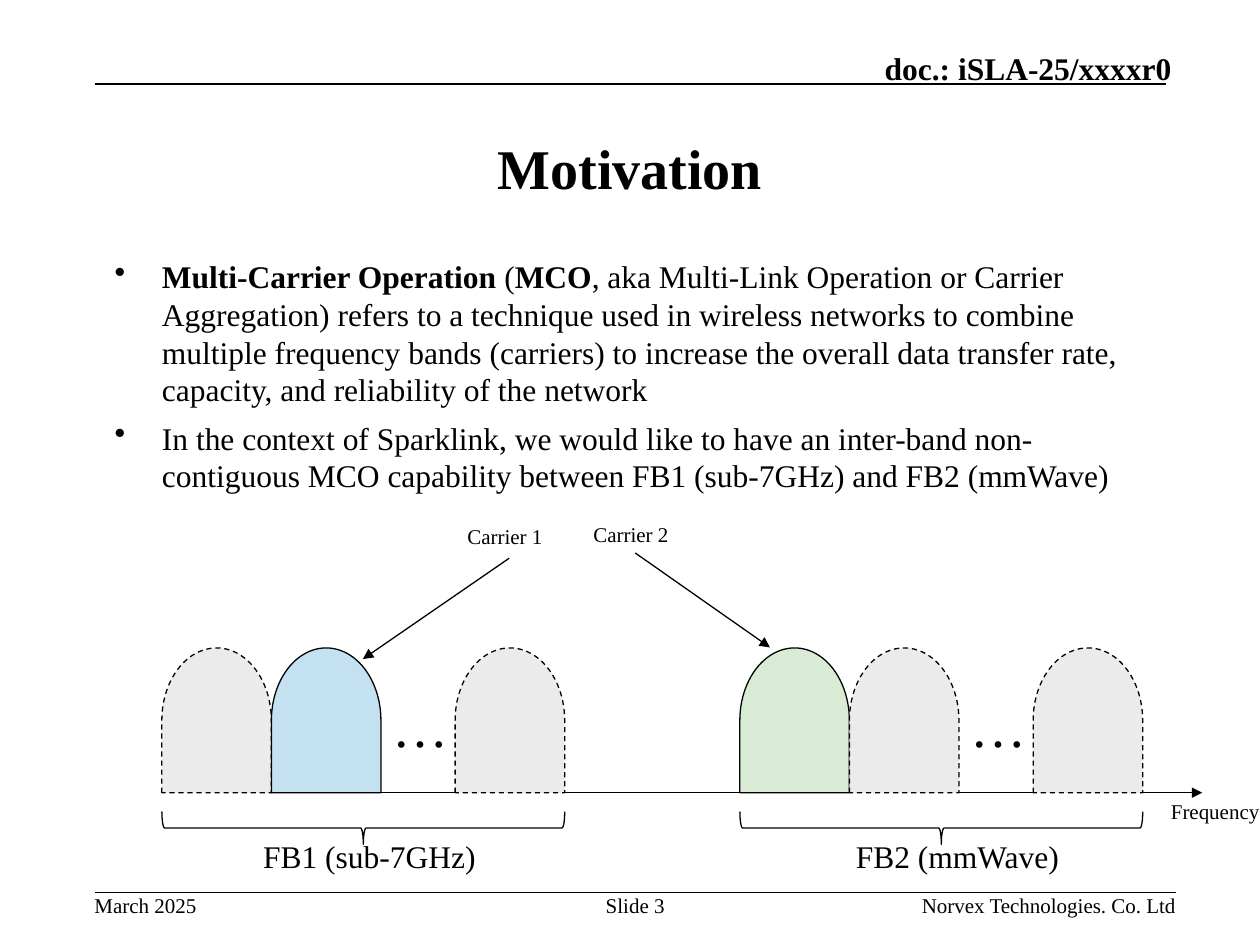
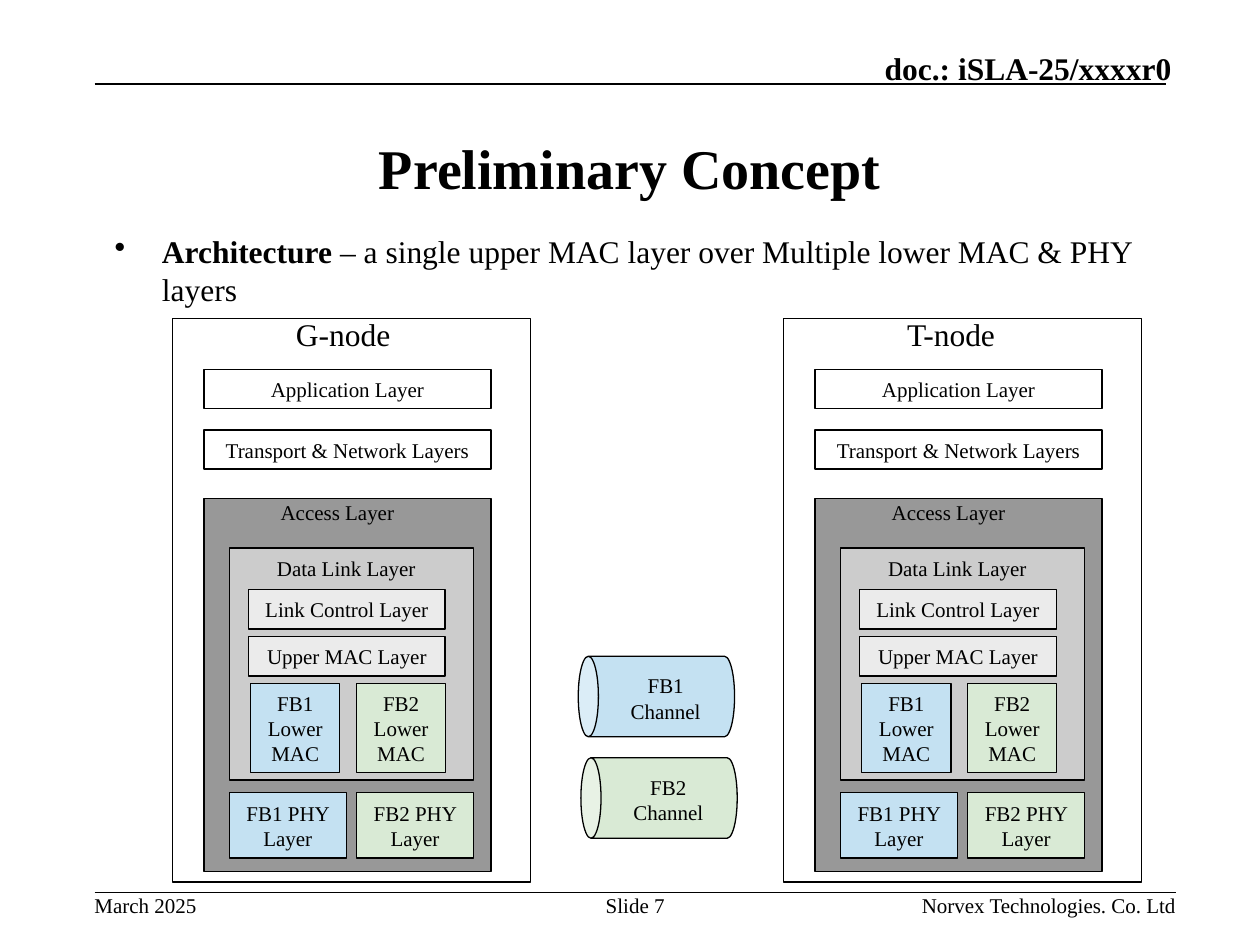
from lxml import etree
from pptx import Presentation
from pptx.dml.color import RGBColor
from pptx.enum.dml import MSO_LINE
from pptx.enum.shapes import MSO_CONNECTOR, MSO_SHAPE
from pptx.enum.text import MSO_ANCHOR, PP_ALIGN
from pptx.oxml.ns import qn
from pptx.util import Pt

BLACK = RGBColor(0x00, 0x00, 0x00)
DARK_GREY = RGBColor(0x98, 0x98, 0x98)
MID_GREY = RGBColor(0xCC, 0xCC, 0xCC)
LIGHT_GREY = RGBColor(0xEB, 0xEB, 0xEB)
BLUE = RGBColor(0xC4, 0xE1, 0xF2)
GREEN = RGBColor(0xD9, 0xEA, 0xD5)

FONT = "Times New Roman"
LEFT, CENTER, RIGHT = PP_ALIGN.LEFT, PP_ALIGN.CENTER, PP_ALIGN.RIGHT
TOP, MIDDLE, BOTTOM = MSO_ANCHOR.TOP, MSO_ANCHOR.MIDDLE, MSO_ANCHOR.BOTTOM
RECTANGLE = MSO_SHAPE.RECTANGLE
DELAY = MSO_SHAPE.FLOWCHART_DELAY
BRACE = MSO_SHAPE.RIGHT_BRACE
CAN = MSO_SHAPE.CAN
STRAIGHT = MSO_CONNECTOR.STRAIGHT
DASH = MSO_LINE.DASH

LINE_WIDTH = 0.75
BASELINE = 453
CARRIER_WIDTH, CARRIER_HEIGHT = 62.6, 82.8
CARRIER_OFFSETS = (0, CARRIER_WIDTH, 167.6)
BAND_WIDTH = CARRIER_OFFSETS[-1] + CARRIER_WIDTH

NODE_BOXES = (
    ("", 0, 182, 204.5, 322, None),
    ("", 18, 285, 164, 213, DARK_GREY),
    ("", 32.4, 313.2, 139.7, 132.5, MID_GREY),
    ("Application Layer", 18, 211, 164, 22.3, None),
    ("Transport & Network Layers", 18, 245.8, 164, 22.3, None),
    ("Link Control Layer", 43.5, 337, 112.3, 22.5, LIGHT_GREY),
    ("Upper MAC Layer", 43.5, 363.8, 112.3, 22.5, LIGHT_GREY),
    ("FB1 Lower MAC", 44.6, 390.4, 51, 51, BLUE),
    ("FB2 Lower MAC", 105.1, 390.4, 51, 51, GREEN),
    ("FB1 PHY Layer", 32.4, 453, 67, 37.4, BLUE),
    ("FB2 PHY Layer", 105.1, 453, 67, 37.4, GREEN),
)


def apply(target, values):
    for name, value in values.items():
        setattr(target, name, value)


def points(*lengths):
    return [Pt(length) for length in lengths]


def add_span(para, text, size, bold=False):
    span = para.add_run()
    span.text = text
    apply(span.font, {"name": FONT, "size": Pt(size), "bold": bold})
    span.font.color.rgb = BLACK


def write(frame, text, size, align=LEFT, anchor=TOP, bold=False):
    apply(frame, {"word_wrap": True, "vertical_anchor": anchor})
    para = frame.paragraphs[0]
    para.alignment = align
    add_span(para, text, size, bold)


def add_label(shapes, text, left, top, width, height, size=12, inset=True, **style):
    box = shapes.add_textbox(*points(left, top, width, height))
    if not inset:
        sides = ("left", "top", "right", "bottom")
        apply(box.text_frame, {f"margin_{side}": 0 for side in sides})
    write(box.text_frame, text, size, **style)


def add_box(shapes, kind, left, top, width, height, fill=None, text=""):
    box = shapes.add_shape(kind, *points(left, top, width, height))
    box.shadow.inherit = False
    if fill is None:
        box.fill.background()
    else:
        box.fill.solid()
        box.fill.fore_color.rgb = fill
    box.line.color.rgb = BLACK
    box.line.width = Pt(LINE_WIDTH)
    if text:
        write(box.text_frame, text, 12, CENTER, MIDDLE)
    return box


def add_turned(shapes, kind, left, top, width, height, angle, fill=None):
    shift = (width - height) / 2
    box = add_box(shapes, kind, left + shift, top - shift, height, width, fill)
    box.rotation = angle
    return box


def add_line(shapes, start, end, width=LINE_WIDTH, arrow=False):
    line = shapes.add_connector(STRAIGHT, *points(*start, *end))
    line.line.color.rgb = BLACK
    line.line.width = Pt(width)
    properties = line._element.spPr
    if arrow:
        outline = properties.find(qn("a:ln"))
        etree.SubElement(outline, qn("a:tailEnd"), type="triangle")
    etree.SubElement(properties, qn("a:effectLst"))


def add_bullets(shapes, top, height, items):
    box = shapes.add_textbox(*points(54, top, 612, height))
    frame = box.text_frame
    frame.word_wrap = True
    for index, spans in enumerate(items):
        para = frame.add_paragraph() if index else frame.paragraphs[0]
        para.space_before = Pt(6)
        properties = para._p.get_or_add_pPr()
        properties.set("marL", str(Pt(31.5)))
        properties.set("indent", str(Pt(-27)))
        etree.SubElement(properties, qn("a:buChar"), char="•")
        for text, bold in spans:
            add_span(para, text, 18, bold)


def add_page(deck, title, number):
    page = deck.slides.add_slide(deck.slide_layouts[5])
    shapes = page.shapes
    heading = shapes.title
    apply(heading, dict(zip(("left", "top", "width", "height"), points(54, 54, 612, 83.5))))
    write(heading.text_frame, title, 32, CENTER, MIDDLE, True)
    add_line(shapes, (54, 48), (666, 48), 1)
    add_line(shapes, (54, 510), (672, 510), 1)
    add_label(shapes, "doc.: iSLA-25/xxxxr0", 394, 28, 275.5, 21.6, 18, False,
              align=RIGHT, anchor=BOTTOM, bold=True)
    footers = (
        ("March 2025", 54, LEFT),
        (f"Slide {number}", 283, CENTER),
        ("Norvex Technologies. Co. Ltd", 492, RIGHT),
    )
    for text, left, align in footers:
        add_label(shapes, text, left, 510, 160 if align == CENTER else 180, 15,
                  inset=False, align=align)
    return shapes


def add_band(shapes, left, fills, name, name_left):
    for offset, fill in zip(CARRIER_OFFSETS, fills):
        carrier = add_turned(shapes, DELAY, left + offset, BASELINE - CARRIER_HEIGHT,
                             CARRIER_WIDTH, CARRIER_HEIGHT, 270, fill)
        if fill == LIGHT_GREY:
            carrier.line.dash_style = DASH
    add_label(shapes, "…", left + 125, 391.7, 28, 46, 32)
    add_turned(shapes, BRACE, left, 463.8, BAND_WIDTH, 18.7, 90)
    add_label(shapes, name, name_left, 475, 142, 28.8, 18)


def add_node(shapes, left, name):
    group = shapes.add_group_shape().shapes
    for text, offset, top, width, height, fill in NODE_BOXES:
        add_box(group, RECTANGLE, left + offset, top, width, height, fill, text)
    add_label(group, name, left + 63.4, 176.5, 93, 28.8, 18)
    add_label(group, "Access Layer", left + 54.7, 282.2, 114, 22)
    add_label(group, "Data Link Layer", left + 52.6, 314, 114, 22)


def add_channel(shapes, left, top, fill, name):
    add_turned(shapes, CAN, left, top, 89.3, 46, 270, fill)
    add_label(shapes, name, left + 20, top + 6, 59.8, 36, align=CENTER)


def build_motivation(deck):
    shapes = add_page(deck, "Motivation", 3)
    add_bullets(shapes, 143.3, 150, (
        (
            ("Multi-Carrier Operation ", True),
            ("(", False),
            ("MCO", True),
            (", aka Multi-Link Operation or Carrier Aggregation) refers to a technique "
             "used in wireless networks to combine multiple frequency bands (carriers) "
             "to increase the overall data transfer rate, capacity, and reliability "
             "of the network", False),
        ),
        (
            ("In the context of Sparklink, we would like to have an inter-band "
             "non-contiguous MCO capability between FB1 (sub-7GHz) and FB2 (mmWave)",
             False),
        ),
    ))
    add_line(shapes, (96.5, BASELINE), (687, BASELINE), arrow=True)
    add_label(shapes, "Frequency", 662, BASELINE, 67, 21.6)
    add_band(shapes, 92.5, (LIGHT_GREY, BLUE, LIGHT_GREY), "FB1 (sub-7GHz)", 143.3)
    add_band(shapes, 422.8, (GREEN, LIGHT_GREY, LIGHT_GREY), "FB2 (mmWave)", 482)
    add_label(shapes, "Carrier 1", 260, 295.4, 62.6, 21.6)
    add_line(shapes, (291, 319), (207.4, 376.6), arrow=True)
    add_label(shapes, "Carrier 2", 332, 294.5, 62.6, 21.6)
    add_line(shapes, (363, 316), (440, 370), arrow=True)


def build_concept(deck):
    shapes = add_page(deck, "Preliminary Concept", 7)
    add_bullets(shapes, 129.3, 50, (
        (
            ("Architecture", True),
            (" – a single upper MAC layer over Multiple lower MAC & PHY layers", False),
        ),
    ))
    add_channel(shapes, 330.5, 375, BLUE, "FB1 Channel")
    add_channel(shapes, 332, 433, GREEN, "FB2 Channel")
    add_node(shapes, 98.6, "G-node")
    add_node(shapes, 447.8, "T-node")


def main():
    deck = Presentation()
    deck.slide_width, deck.slide_height = points(720, 540)
    build_motivation(deck)
    build_concept(deck)
    deck.save("out.pptx")


if __name__ == "__main__":
    main()
